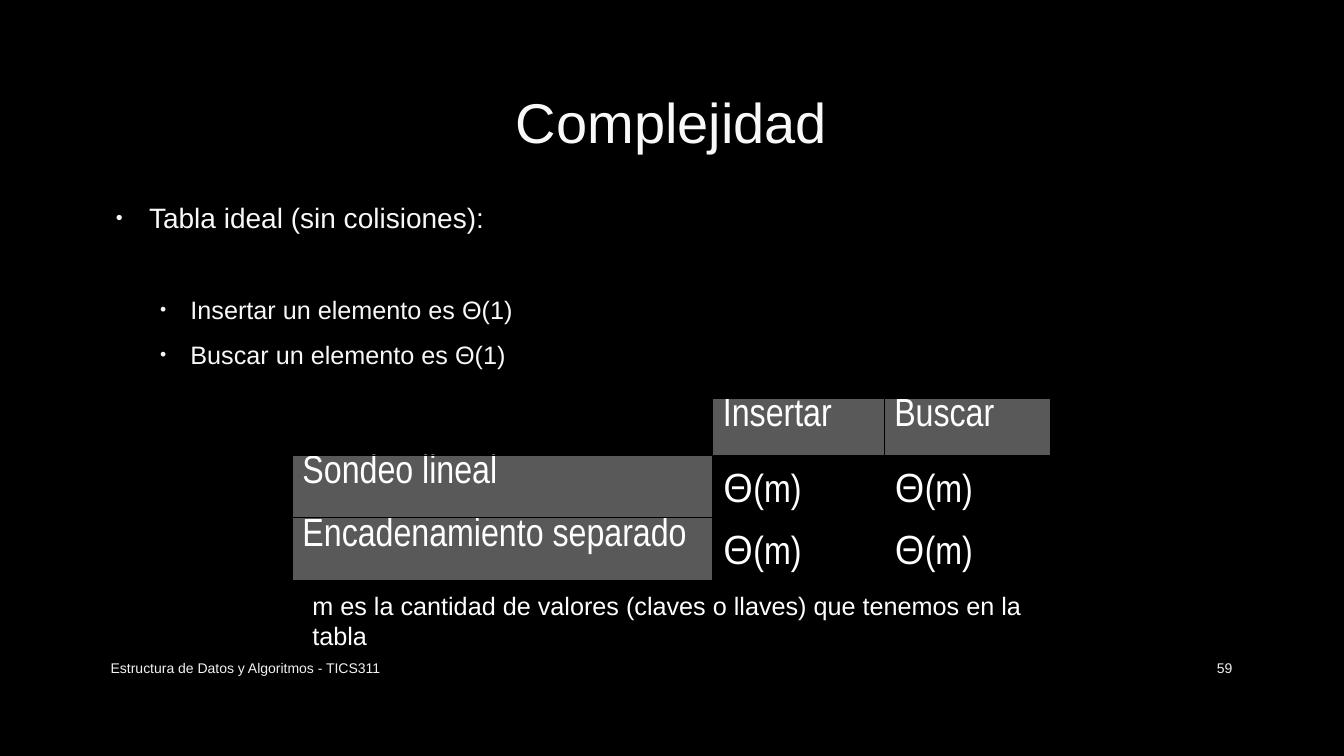
from dataclasses import dataclass

from lxml import etree
from pptx import Presentation
from pptx.dml.color import RGBColor
from pptx.enum import text as t
from pptx.oxml import ns
from pptx.util import Inches, Pt


@dataclass(frozen=True)
class Theme:
    back: str = "000000"
    soft: str = "F8F8F8"
    foot: str = "F2F2F2"
    ink: str = "FFFFFF"
    head: str = "595959"
    font: str = "Arial"
    narrow: str = "Arial Narrow"
    symbol: str = "Open Sans"
    title: int = 40
    cell: int = 28
    item: int = 20
    sub: int = 18
    small: int = 10


THEME = Theme()


def style(font, name, size, color):
    font.name = name
    font.size = Pt(size)
    font.color.rgb = RGBColor.from_string(color)


def add_frame(slide, left, top, width, height, anchor=t.MSO_ANCHOR.TOP):
    box = slide.shapes.add_textbox(
        Inches(left), Inches(top), Inches(width), Inches(height))
    frame = box.text_frame
    frame.word_wrap = True
    frame.vertical_anchor = anchor
    return frame


def add_line(slide, words, place, size, color,
             align=t.PP_ALIGN.LEFT, anchor=t.MSO_ANCHOR.MIDDLE):
    para = add_frame(slide, *place, anchor).paragraphs[0]
    para.text = words
    para.alignment = align
    style(para.font, THEME.font, size, color)


def add_bullet(para, margin, indent):
    props = para._p.get_or_add_pPr()
    props.set("marL", str(Inches(margin)))
    props.set("indent", str(Inches(indent)))
    color = etree.SubElement(props, ns.qn("a:buClr"))
    etree.SubElement(color, ns.qn("a:srgbClr"), val=THEME.soft)
    etree.SubElement(props, ns.qn("a:buSzPct"), val="70000")
    etree.SubElement(props, ns.qn("a:buFont"), typeface=THEME.font)
    etree.SubElement(props, ns.qn("a:buChar"), char="•")


def add_list(slide, items):
    """Each item is (words, level, space before in points)."""
    looks = [(0.38, -0.33, THEME.item), (0.79, -0.3, THEME.sub)]
    frame = add_frame(slide, 1, 1.94, 11.32, 4.39)
    for i, (words, level, before) in enumerate(items):
        para = frame.add_paragraph() if i else frame.paragraphs[0]
        margin, indent, size = looks[level]
        para.text = words
        para.level = level
        para.space_before = Pt(before)
        para.space_after = Pt(6)
        add_bullet(para, margin, indent)
        style(para.font, THEME.font, size, THEME.soft)


def add_borders(cell):
    props = cell._tc.get_or_add_tcPr()
    for i, side in enumerate("LRTB"):
        line = etree.Element(ns.qn(f"a:ln{side}"), w=str(Pt(1)))
        fill = etree.SubElement(line, ns.qn("a:solidFill"))
        etree.SubElement(fill, ns.qn("a:srgbClr"), val=THEME.back)
        props.insert(i, line)


def fill_cell(cell, words, label):
    """Labels are grey and sit at the top edge; values start with a symbol."""
    if label:
        cell.fill.solid()
        cell.fill.fore_color.rgb = RGBColor.from_string(THEME.head)
        cell.margin_top = cell.margin_bottom = 0
    else:
        cell.fill.background()
    add_borders(cell)
    para = cell.text_frame.paragraphs[0]
    style(para.font, THEME.narrow, THEME.cell, THEME.ink)
    if label:
        para.text = words
    elif words:
        for part, name in ((words[0], THEME.symbol), (words[1:], THEME.narrow)):
            run = para.add_run()
            run.text = part
            run.font.name = name


def add_costs(slide, rows):
    widths = [4.17, 1.7, 1.65]
    heights = [0.46, 0.62, 0.62]
    table = slide.shapes.add_table(
        len(rows), len(widths), Inches(2.9), Inches(3.95),
        Inches(sum(widths)), Inches(sum(heights))).table
    for col, width in zip(table.columns, widths):
        col.width = Inches(width)
    for r, (row, height) in enumerate(zip(rows, heights)):
        table.rows[r].height = Inches(height)
        for c, words in enumerate(row):
            fill_cell(table.cell(r, c), words, (r == 0) != (c == 0))


def main():
    deck = Presentation()
    deck.slide_width, deck.slide_height = Inches(13.33), Inches(7.5)
    slide = deck.slides.add_slide(deck.slide_layouts[6])
    slide.background.fill.solid()
    slide.background.fill.fore_color.rgb = RGBColor.from_string(THEME.back)

    add_line(slide, "Complejidad", (1, 0.67, 11.32, 1.06),
             THEME.title, THEME.soft, t.PP_ALIGN.CENTER)
    add_list(slide, [
        ("Tabla ideal (sin colisiones):", 0, 0),
        ("Insertar un elemento es Θ(1)", 1, 37),
        ("Buscar un elemento es Θ(1)", 1, 4.5),
    ])
    add_line(slide, "Estructura de Datos y Algoritmos - TICS311",
             (1, 6.43, 7.3, 0.4), THEME.small, THEME.foot)
    add_line(slide, "59", (11.5, 6.43, 0.82, 0.4),
             THEME.small, THEME.foot, t.PP_ALIGN.RIGHT)
    add_costs(slide, [
        ("", "Insertar", "Buscar"),
        ("Sondeo lineal", "Θ(m)", "Θ(m)"),
        ("Encadenamiento separado", "Θ(m)", "Θ(m)"),
    ])
    add_line(slide, "m es la cantidad de valores (claves o llaves) "
             "que tenemos en la tabla", (3, 5.81, 7.34, 0.4),
             THEME.sub, THEME.ink, anchor=t.MSO_ANCHOR.TOP)
    deck.save("out.pptx")


if __name__ == "__main__":
    main()
